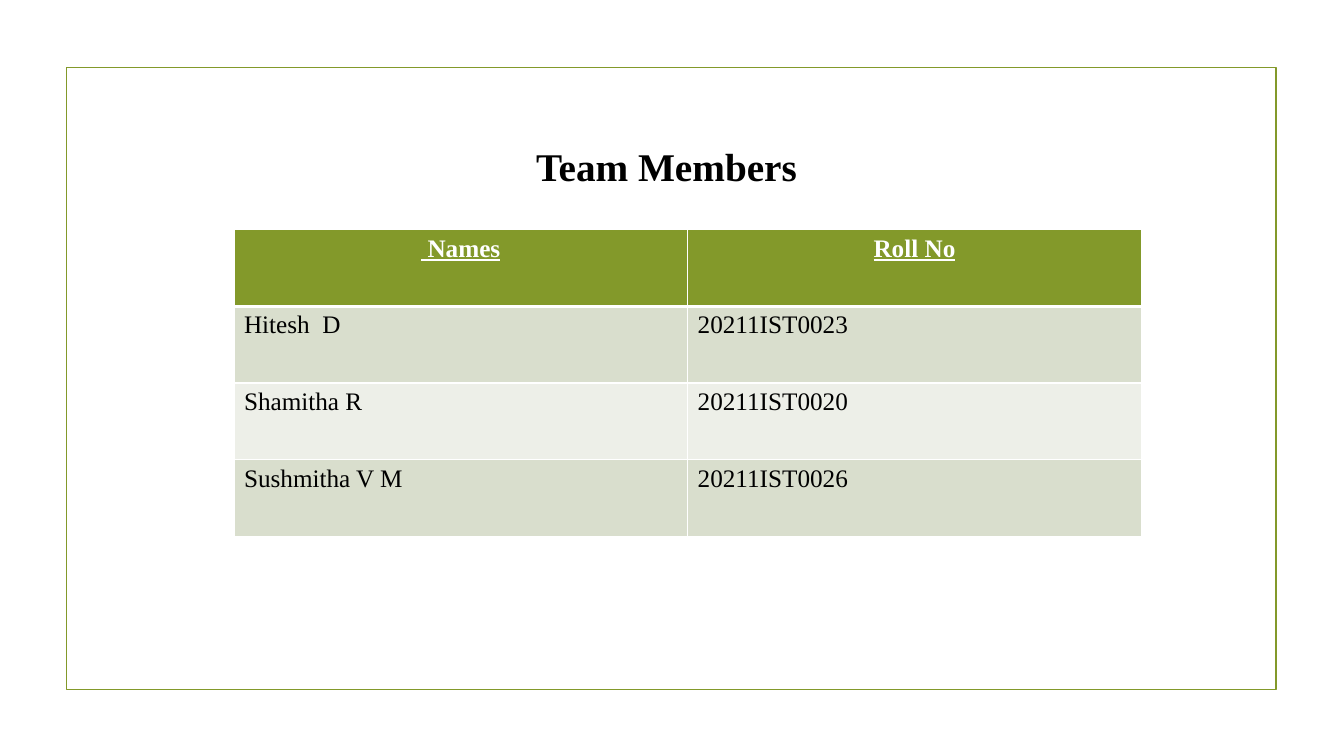
"""Build the team members slide: a framed title above a table of names and roll numbers."""
import pptx
import pptx.dml.color
import pptx.enum.shapes
import pptx.enum.text
import pptx.oxml
import pptx.oxml.ns
import pptx.util

TITLE = "Team Members"
HEADER = (" Names", "Roll No")
MEMBERS = [
    ("Hitesh  D", "20211IST0023"),
    ("Shamitha R", "20211IST0020"),
    ("Sushmitha V M", "20211IST0026"),
]
COLORS = {
    "olive": "83992A",
    "dark band": "D9DECD",
    "light band": "EDEFE8",
    "white": "FFFFFF",
    "black": "000000",
}
FONT = "Times New Roman"
FRAME_BOX = (0.66, 0.67, 12, 6.17)
TITLE_BOX = (0.54, 1.36, 12.14, 0.57)
TABLE_BOX = (2.32, 2.28, 9, 3.04)

Inches = pptx.util.Inches


def color(name):
    return pptx.dml.color.RGBColor.from_string(COLORS[name])


def write(text_frame, text, size=18, fill="black", bold=False, underline=False, centred=False):
    para = text_frame.paragraphs[0]
    align = pptx.enum.text.PP_ALIGN
    para.alignment = align.CENTER if centred else align.LEFT
    span = para.add_run()
    span.text = text
    span.font.name = FONT
    span.font.size = pptx.util.Pt(size)
    span.font.bold = bold
    span.font.underline = underline
    span.font.color.rgb = color(fill)


def set_borders(cell, top, bottom):
    properties = cell._tc.get_or_add_tcPr()
    widths = {"lnL": 1, "lnR": 1, "lnT": top, "lnB": bottom}
    for position, (side, points) in enumerate(widths.items()):
        border = pptx.oxml.parse_xml(
            f'<a:{side} {pptx.oxml.ns.nsdecls("a")} w="{pptx.util.Pt(points)}">'
            f'<a:solidFill><a:srgbClr val="{COLORS["white"]}"/></a:solidFill></a:{side}>'
        )
        properties.insert(position, border)


def add_frame(page):
    frame = page.shapes.add_shape(
        pptx.enum.shapes.MSO_SHAPE.RECTANGLE, *map(Inches, FRAME_BOX)
    )
    frame.shadow.inherit = False
    frame.fill.background()
    frame.line.color.rgb = color("olive")
    frame.line.width = pptx.util.Pt(1.25)


def add_title(page):
    title = page.shapes.title
    title.left, title.top, title.width, title.height = map(Inches, TITLE_BOX)
    title.text_frame.vertical_anchor = pptx.enum.text.MSO_ANCHOR.MIDDLE
    write(title.text_frame, TITLE, size=28, bold=True, centred=True)


def add_members(page):
    rows = [HEADER, *MEMBERS]
    table = page.shapes.add_table(len(rows), len(HEADER), *map(Inches, TABLE_BOX)).table
    for row_index, row in enumerate(rows):
        is_header = row_index == 0
        band = "olive" if is_header else ("light band", "dark band")[row_index % 2]
        for column_index, text in enumerate(row):
            cell = table.cell(row_index, column_index)
            cell.fill.solid()
            cell.fill.fore_color.rgb = color(band)
            set_borders(cell, top=3 if row_index == 1 else 1, bottom=3 if is_header else 1)
            write(cell.text_frame, text, fill="white" if is_header else "black",
                  bold=is_header, underline=is_header, centred=is_header)


def main():
    deck = pptx.Presentation()
    deck.slide_width, deck.slide_height = Inches(13.33), Inches(7.5)
    page = deck.slides.add_slide(deck.slide_layouts.get_by_name("Title Only"))
    page.background.fill.solid()
    page.background.fill.fore_color.rgb = color("white")
    add_frame(page)
    add_members(page)
    add_title(page)
    deck.save("out.pptx")


if __name__ == "__main__":
    main()
